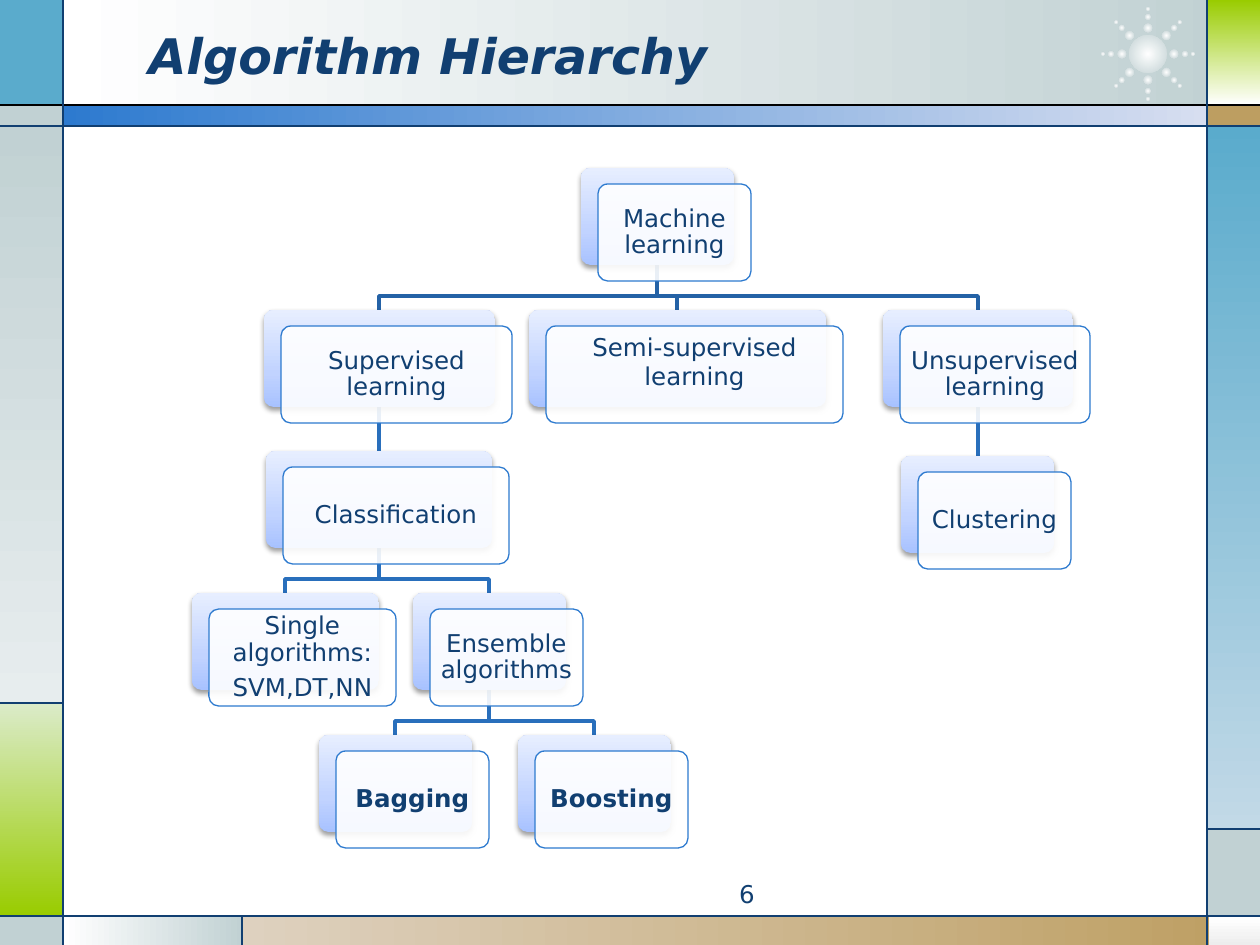
import math
from lxml import etree
from pptx import Presentation
from pptx import util as u
from pptx.dml.color import RGBColor
from pptx.enum import shapes, text
from pptx.oxml import ns

PX = 914400 / 126
FONT = "DejaVu Sans"
INK = "113F71"
GREY, BLUE, TAN, LIME = "C1D1D3", "5AABCC", "BD9E61", "99CC00"
HIGH = 97

PANELS = [
    (63, 0, 1168, 105, ["FFFFFF", GREY], 0),
    (0, 0, 63, 105, [BLUE], 0),
    (0, 105, 63, 21, [GREY], 0),
    (0, 126, 63, 577, [GREY, "E7EDEE"], 90),
    (0, 703, 63, 213, ["DBEBC9", LIME], 90),
    (0, 917, 63, 28, [GREY], 0),
    (63, 916, 180, 29, ["FFFFFF", GREY], 0),
    (242, 916, 1018, 29, ["DED1BF", TAN], 0),
    (1209, 917, 51, 28, ["FFFFFF", "EDEDED"], 90),
    (1208, 829, 52, 88, [GREY], 0),
    (1207, 126, 53, 703, [BLUE, "C2D9E7"], 90),
    (1207, 105, 53, 21, [TAN], 0),
    (1208, 0, 52, 105, [LIME, "FFFFFF"], 90),
    (63, 105, 1145, 21, ["2D7ACF", "D7DEF0"], 0),
]

RULES = [
    (0, 105, 1260, 105, "000000"),
    (0, 126, 1260, 126, INK),
    (0, 916, 1260, 916, INK),
    (63, 0, 63, 945, INK),
    (1207, 0, 1207, 945, INK),
    (0, 703, 63, 703, INK),
    (242, 916, 242, 945, INK),
    (1207, 829, 1260, 829, INK),
]

NODES = {
    "root": (581, 168, 153, ["Machine learning"], None),
    "sup": (264, 310, 231, ["Supervised learning"], "root"),
    "class": (266, 451, 226, ["Classification"], "sup"),
    "single": (192, 593, 187, ["Single algorithms:", "SVM,DT,NN"], "class"),
    "group": (413, 593, 153, ["Ensemble algorithms"], "class"),
    "boost": (518, 735, 153, ["Boosting"], "group"),
    "bag": (319, 735, 153, ["Bagging"], "group"),
    "semi": (529, 310, 297, ["Semi-supervised learning"], "root"),
    "unsup": (883, 310, 190, ["Unsupervised learning"], "root"),
    "clust": (901, 456, 153, ["Clustering"], "unsup"),
}


def px(n):
    return u.Emu(round(n * PX))


def rgb(code):
    return RGBColor.from_string(code)


def add(base, tag, **attrs):
    return etree.SubElement(base, ns.qn(tag), {k: str(v) for k, v in attrs.items()})


def blend(shape, stops, angle=None):
    shape.fill.background()
    old = shape.element.spPr.find(ns.qn("a:noFill"))
    grad = etree.Element(ns.qn("a:gradFill"), rotWithShape="1")
    marks = add(grad, "a:gsLst")
    for pos, code in stops:
        add(add(marks, "a:gs", pos=pos * 1000), "a:srgbClr", val=code)
    if angle is None:
        way = add(grad, "a:path", path="circle")
        add(way, "a:fillToRect", l=50000, t=50000, r=50000, b=50000)
    else:
        add(grad, "a:lin", ang=angle * 60000, scaled=0)
    old.getparent().replace(old, grad)


def block(slide, kind, x, y, w, h):
    shape = slide.shapes.add_shape(kind, px(x), px(y), px(w), px(h))
    shape.shadow.inherit = False
    shape.line.fill.background()
    return shape


def rule(slide, x1, y1, x2, y2, code, width):
    line = slide.shapes.add_connector(
        shapes.MSO_CONNECTOR.STRAIGHT, px(x1), px(y1), px(x2), px(y2))
    line.line.color.rgb = rgb(code)
    line.line.width = u.Pt(width)
    add(line.element.spPr, "a:effectLst")


def write(para, words, size=14, bold=False, italic=False):
    run = para.add_run()
    run.text = words
    font = run.font
    font.name, font.size, font.bold, font.italic = FONT, u.Pt(size), bold, italic
    font.color.rgb = rgb(INK)


def frame(slide):
    for x, y, w, h, codes, angle in PANELS:
        panel = block(slide, shapes.MSO_SHAPE.RECTANGLE, x, y, w, h)
        if len(codes) == 1:
            panel.fill.solid()
            panel.fill.fore_color.rgb = rgb(codes[0])
        else:
            blend(panel, zip((0, 100), codes), angle)


def burst(slide, x, y):
    dots = [(0, 0, 38)]
    for step in range(8):
        turn = math.radians(45 * step)
        for reach, size in ((26, 9), (37, 6), (45, 4)):
            dots.append((reach * math.cos(turn), reach * math.sin(turn), size))
    for dx, dy, size in dots:
        dot = block(slide, shapes.MSO_SHAPE.OVAL,
                    x + dx - size / 2, y + dy - size / 2, size, size)
        blend(dot, [(0, "FFFFFF"), (100, GREY)])


def head(slide, x, y, w, h):
    title = slide.shapes.title
    slide.shapes.element.append(title.element)
    title.left, title.top, title.width, title.height = map(px, (x, y, w, h))
    body = title.text_frame
    body.vertical_anchor = text.MSO_ANCHOR.MIDDLE
    body.paragraphs[0].alignment = text.PP_ALIGN.LEFT
    write(body.paragraphs[0], "Algorithm Hierarchy", 28, True, True)


def link(slide, name):
    x, y, w, _, above = NODES[name]
    px1, py1, pw, _, top = NODES[above]
    mid, start, low = x + w // 2, px1 + pw // 2, py1 + HIGH
    code = "296FBC" if top else "2462A6"
    if abs(mid - start) < 3:
        rule(slide, start, low, start, y, code, 2)
        return
    path = slide.shapes.build_freeform(start, low, scale=PX)
    path.add_line_segments([(start, y - 14), (mid, y - 14), (mid, y)], close=False)
    shape = path.convert_to_shape()
    shape.shadow.inherit = False
    shape.fill.background()
    shape.line.color.rgb = rgb(code)
    shape.line.width = u.Pt(2)


def node(slide, name):
    x, y, w, lines, _ = NODES[name]
    back = block(slide, shapes.MSO_SHAPE.ROUNDED_RECTANGLE, x, y, w, HIGH)
    blend(back, [(0, "A8C2FF"), (35, "C1D3FF"), (100, "E7EEFF")], 270)
    glow = add(back.element.spPr.find(ns.qn("a:effectLst")), "a:outerShdw",
               blurRad=u.Pt(3.1), dist=u.Pt(1.6), dir=5400000, rotWithShape=0)
    add(add(glow, "a:srgbClr", val="000000"), "a:alpha", val=38000)
    card = block(slide, shapes.MSO_SHAPE.ROUNDED_RECTANGLE, x + 17, y + 16, w, HIGH)
    card.fill.solid()
    card.fill.fore_color.rgb = rgb("FFFFFF")
    tint = card.element.spPr.find(ns.qn("a:solidFill"))[0]
    add(tint, "a:alpha", val=90000)
    card.line.color.rgb = rgb("2D7ACF")
    card.line.width = u.Pt(0.75)
    back.adjustments[0] = card.adjustments[0] = 0.1
    body = card.text_frame
    body.word_wrap = True
    body.vertical_anchor = text.MSO_ANCHOR.MIDDLE
    body.margin_left = body.margin_right = px(4)
    body.margin_top = px(8)
    body.margin_bottom = px(34 if name == "semi" else 8)
    for i, words in enumerate(lines):
        para = body.add_paragraph() if i else body.paragraphs[0]
        para.alignment = text.PP_ALIGN.CENTER
        para.line_spacing = 1.0 if name == "semi" else 0.9
        para.space_after = u.Pt(5 if i < len(lines) - 1 else 0)
        write(para, words, bold=name in ("bag", "boost"))


def number(slide, x, y, w, h):
    box = slide.shapes.add_textbox(px(x), px(y), px(w), px(h))
    box.text_frame.word_wrap = True
    para = box.text_frame.paragraphs[0]
    para.alignment = text.PP_ALIGN.RIGHT
    write(para, "6")


def main():
    deck = Presentation()
    deck.slide_width, deck.slide_height = px(1260), px(945)
    slide = deck.slides.add_slide(deck.slide_layouts[5])
    frame(slide)
    burst(slide, 1148, 54)
    for line in RULES:
        rule(slide, *line, 0.75)
    head(slide, 136, 16, 924, 78)
    for name in NODES:
        if NODES[name][-1]:
            link(slide, name)
    for name in NODES:
        node(slide, name)
    number(slide, 473, 873, 294, 34)
    deck.save("out.pptx")


if __name__ == "__main__":
    main()
